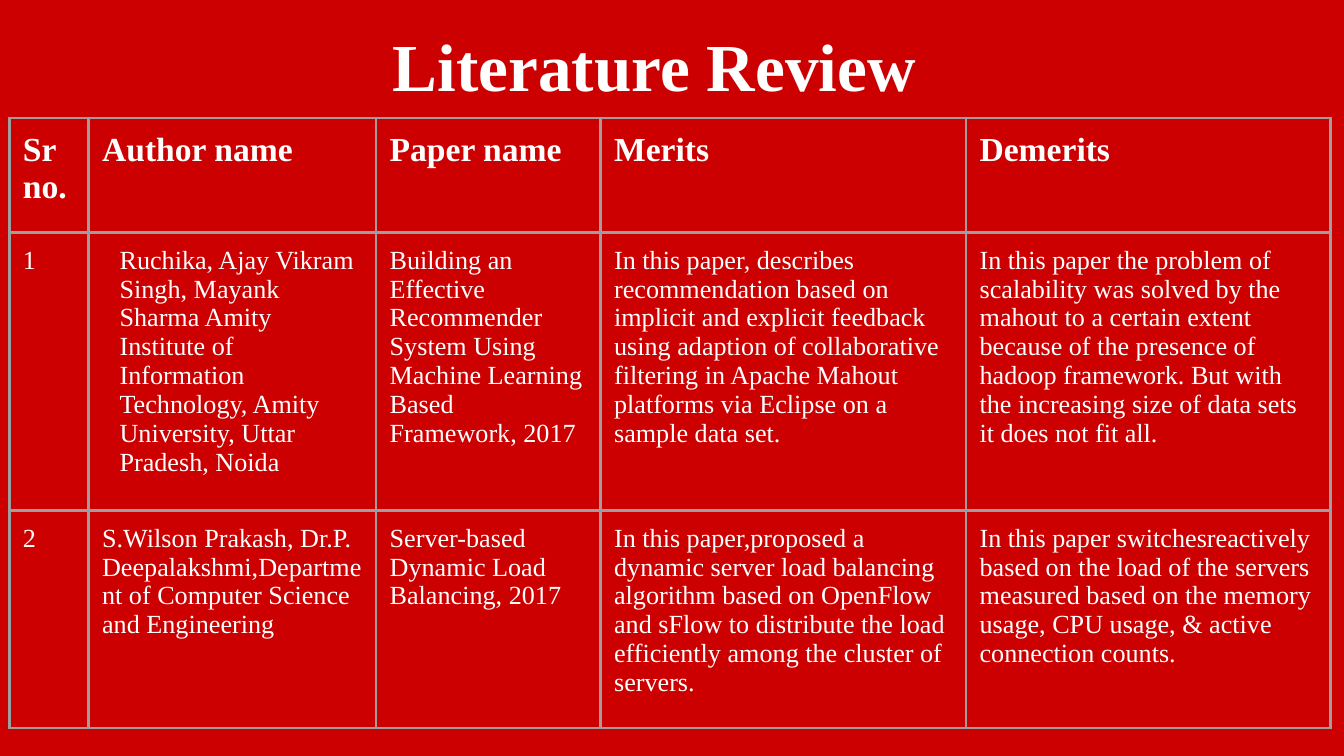
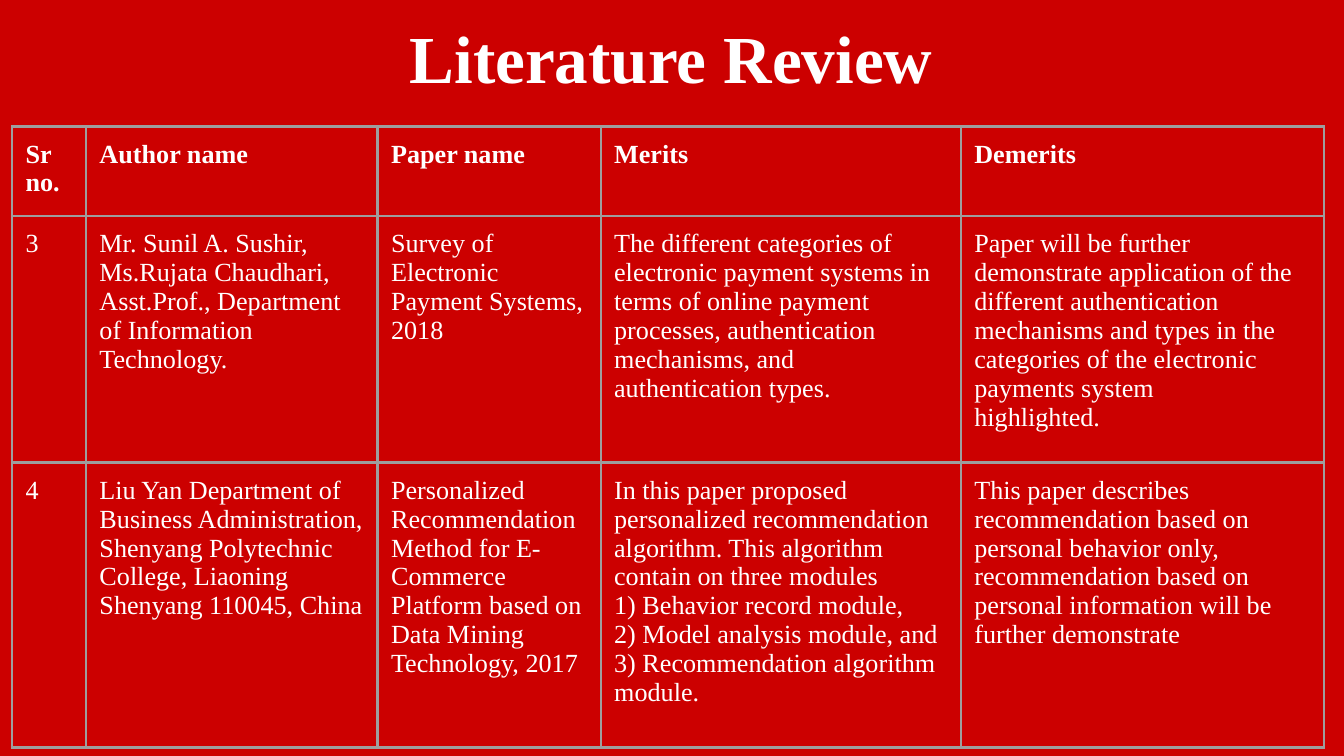
from lxml import etree
from pptx import Presentation
from pptx.dml.color import RGBColor
from pptx.enum.text import MSO_ANCHOR as ANCHOR, PP_ALIGN as ALIGN
from pptx.oxml.ns import qn
from pptx.util import Inches, Pt

RED, WHITE, GREY = "CC0000", "FFFFFF", "9E9E9E"
FONT = "Times New Roman"
MARGIN = Inches(0.1)
BORDER = Pt(1.5)
FRAME = Inches(3.28)
BODY_SIZE = 14
HEADERS = ["Sr no.", "Author name", "Paper name", "Merits", "Demerits"]


def color(hex_string):
    return RGBColor.from_string(hex_string)


def write(tf, text, size=BODY_SIZE, bold=False, align=ALIGN.LEFT, indent=0):
    """Fill a text frame, one paragraph for each line of text."""
    tf.word_wrap = True
    for i, line in enumerate(text.split("\n")):
        p = tf.paragraphs[0] if i == 0 else tf.add_paragraph()
        p.alignment = align
        pPr = p._p.get_or_add_pPr()
        pPr.set("marL", str(Inches(indent)))
        pPr.set("indent", "0")
        r = p.add_run()
        r.text = line
        r.font.name, r.font.size, r.font.bold = FONT, Pt(size), bold
        r.font.color.rgb = color(WHITE)


def set_margins(box):
    box.margin_left = box.margin_right = MARGIN
    box.margin_top = box.margin_bottom = MARGIN


class Deck:
    def __init__(self):
        self.prs = Presentation()
        self.prs.slide_width = Inches(10)
        self.prs.slide_height = Inches(10) * 9 // 16
        self.s = None

    def slide(self):
        self.s = self.prs.slides.add_slide(self.prs.slide_layouts[6])
        fill = self.s.background.fill
        fill.solid()
        fill.fore_color.rgb = color(RED)

    def title(self, text, box):
        sp = self.s.shapes.add_textbox(*map(Inches, box))
        tf = sp.text_frame
        set_margins(tf)
        tf.vertical_anchor = ANCHOR.TOP
        write(tf, text, size=36, bold=True, align=ALIGN.CENTER)

    def borders(self, cell):
        tcPr = cell._tc.get_or_add_tcPr()
        for side in ("a:lnL", "a:lnR", "a:lnT", "a:lnB"):
            ln = etree.SubElement(tcPr, qn(side), w=str(BORDER))
            fill = etree.SubElement(ln, qn("a:solidFill"))
            etree.SubElement(fill, qn("a:srgbClr"), val=GREY)

    def table(self, left, top, widths, heights, papers, header_size, indents):
        rows = [HEADERS] + papers
        frame = self.s.shapes.add_table(
            len(rows), len(HEADERS), Inches(left), Inches(top), FRAME, FRAME)
        table = frame.table
        table.first_row = table.horz_banding = False
        for column, width in zip(table.columns, widths):
            column.width = Inches(width)
        for row, height in zip(table.rows, heights):
            row.height = Inches(height)
        # Keep the frame small so that the rows are not stretched to it
        frame.width = frame.height = FRAME
        for i, texts in enumerate(rows):
            for j, text in enumerate(texts):
                cell = table.cell(i, j)
                set_margins(cell)
                self.borders(cell)
                cell.fill.background()
                write(cell.text_frame, text, bold=i == 0,
                      size=BODY_SIZE if i else header_size,
                      indent=indents.get((i, j), 0))


# Papers: number, authors, paper, merits, demerits
PAPERS_1_2 = [
    ["1",
     "Ruchika, Ajay Vikram Singh, Mayank Sharma Amity Institute of "
     "Information Technology, Amity University, Uttar Pradesh, Noida",
     "Building an Effective Recommender System Using Machine Learning "
     "Based Framework, 2017",
     "In this paper, describes recommendation based on implicit and explicit "
     "feedback using adaption of collaborative filtering in Apache Mahout "
     "platforms via Eclipse on a sample data set.",
     "In this paper the problem of scalability was solved by the mahout to a "
     "certain extent because of the presence of hadoop framework. But with "
     "the increasing size of data sets it does not fit all."],
    ["2",
     "S.Wilson Prakash, Dr.P. Deepalakshmi,Department of Computer Science "
     "and Engineering",
     "Server-based Dynamic Load Balancing, 2017",
     "In this paper,proposed a dynamic server load balancing algorithm based "
     "on OpenFlow and sFlow to distribute the load efficiently among the "
     "cluster of servers.",
     "In this paper switchesreactively based on the load of the servers "
     "measured based on the memory usage, CPU usage, & active connection "
     "counts."],
]
PAPERS_3_4 = [
    ["3",
     "Mr. Sunil A. Sushir, Ms.Rujata Chaudhari, Asst.Prof., Department of "
     "Information Technology.",
     "Survey of Electronic\nPayment Systems, 2018",
     "The different categories of electronic payment systems in terms of "
     "online payment processes, authentication mechanisms, and "
     "authentication types.",
     "Paper will be further demonstrate application of the different "
     "authentication mechanisms and types in the categories of the "
     "electronic payments system\nhighlighted."],
    ["4",
     "Liu Yan Department of Business Administration, Shenyang Polytechnic "
     "College, Liaoning Shenyang 110045, China",
     "Personalized Recommendation Method for E-Commerce Platform based on "
     "Data Mining Technology, 2017",
     "In this paper proposed personalized recommendation algorithm. This "
     "algorithm contain on three modules\n1) Behavior record module,\n"
     "2) Model analysis module, and\n3) Recommendation algorithm module.",
     "This paper describes recommendation based on personal behavior only, "
     "recommendation based on personal information will be further "
     "demonstrate"],
]

# Each slide: title box, then its table
REVIEWS = [
    ((0.46, 0.08, 8.82, 0.9),
     dict(left=0.07, top=0.88, widths=[0.59, 2.14, 1.67, 2.72, 2.71],
          heights=[0.85, 2.04, 1.62], papers=PAPERS_1_2, header_size=18,
          indents={(1, 1): 0.13})),
    ((0.46, 0.02, 9.07, 0.92),
     dict(left=0.09, top=0.94, widths=[0.55, 2.17, 1.66, 2.68, 2.7],
          heights=[0.64, 1.76, 2.12], papers=PAPERS_3_4,
          header_size=BODY_SIZE, indents={})),
]


def main():
    deck = Deck()
    for title_box, review in REVIEWS:
        deck.slide()
        deck.title("Literature Review", title_box)
        deck.table(**review)
    deck.prs.save("out.pptx")


if __name__ == "__main__":
    main()
